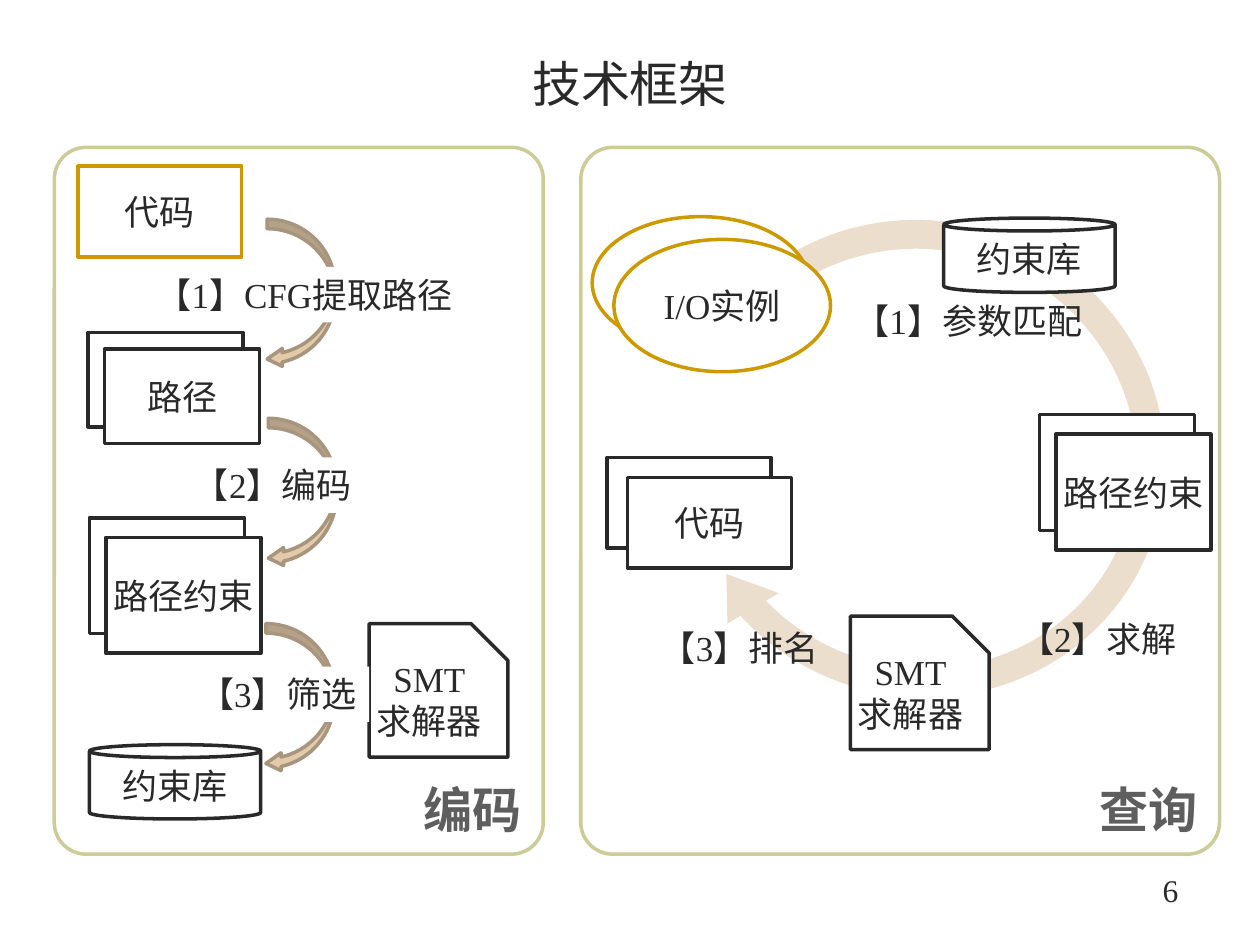
from pptx import Presentation
from pptx import util as u
from pptx.dml import color
from pptx.enum import shapes, text

COLORS = {"ink": "292929", "white": "FFFFFF", "gold": "CC9900", "panel": "CCCC99",
          "heading": "5E5E5E", "arrow": "E2CAAA", "arrow_edge": "A7957E", "ring": "ECDECC"}
FONT = "Times New Roman"
MSO = shapes.MSO_SHAPE
ALIGN = text.PP_ALIGN
ANCHOR = text.MSO_ANCHOR
LABEL_H = 31.7


def rgb(name):
    return color.RGBColor.from_string(COLORS[name])


def write(sp, content, size=20, ink="ink", bold=False, align=ALIGN.CENTER,
          anchor=ANCHOR.MIDDLE, wrap=False):
    tf = sp.text_frame
    frame = {"word_wrap": wrap, "vertical_anchor": anchor,
             "auto_size": text.MSO_AUTO_SIZE.NONE}
    for key, value in frame.items():
        setattr(tf, key, value)
    for i, line in enumerate(content.split("\n")):
        p = tf.paragraphs[0] if i == 0 else tf.add_paragraph()
        p.alignment = align
        r = p.add_run()
        r.text = line
        for key, value in {"name": FONT, "size": u.Pt(size), "bold": bold}.items():
            setattr(r.font, key, value)
        r.font.color.rgb = rgb(ink)


def add_figure(s, kind, box, line="ink", fill="white", adj=(), rotation=0):
    sp = s.shapes.add_shape(kind, *map(u.Pt, box))
    sp.shadow.inherit = False
    sp.rotation = rotation
    sp.fill.solid()
    sp.fill.fore_color.rgb = rgb(fill)
    if line:
        sp.line.color.rgb = rgb(line)
        sp.line.width = u.Pt(2)
    else:
        sp.line.fill.background()
    for i, value in enumerate(adj):
        sp.adjustments[i] = value
    return sp


def add_text(s, box, content, **fmt):
    write(s.shapes.add_textbox(*map(u.Pt, box)), content, wrap=True, **fmt)


def add_panel(s, x, w, adj, heading):
    sp = add_figure(s, MSO.ROUNDED_RECTANGLE, (x, 84.2, w, 403.9), "panel", adj=[adj])
    write(sp, heading, size=28, ink="heading", bold=True, align=ALIGN.RIGHT,
          anchor=ANCHOR.BOTTOM)


def add_stack(s, kind, box, shift, content, line="ink"):
    x, y, w, h = box
    add_figure(s, kind, box, line)
    write(add_figure(s, kind, (x + shift[0], y + shift[1], w, h), line), content)


def add_store(s, x, y):
    write(add_figure(s, MSO.CAN, (x, y, 97.9, 42.5), adj=[0.174]), "约束库", wrap=True)


def add_solver(s, x, y):
    sp = add_figure(s, MSO.SNIP_1_RECTANGLE, (x, y, 79.2, 76.3), adj=[0.275])
    write(sp, "SMT\n求解器")


def add_step_arrow(s, x, y):
    add_figure(s, MSO.CURVED_DOWN_ARROW, (x, y, 85, 38.9), "arrow_edge", "arrow",
               [0.14, 0.262, 0.222], 90)


def add_step_label(s, x, y, w, content):
    sp = add_figure(s, MSO.RECTANGLE, (x, y, w, LABEL_H), line=None)
    write(sp, content, align=ALIGN.RIGHT, anchor=ANCHOR.TOP, wrap=True)


def build_encoding(s):
    write(add_figure(s, MSO.RECTANGLE, (44.6, 95, 93.6, 51.8), "gold"), "代码")
    add_stack(s, MSO.RECTANGLE, (50.4, 190, 88.6, 54), (9.4, 9.4), "路径")
    add_step_arrow(s, 129.6, 148.3)
    add_step_label(s, 77.8, 152.6, 187.9, "【1】CFG提取路径")
    add_stack(s, MSO.RECTANGLE, (51.1, 295.9, 88.6, 66.2), (9.4, 11.2), "路径约束")
    add_step_arrow(s, 130.3, 262.1)
    add_step_label(s, 82.1, 261.4, 126, "【2】编码")
    add_store(s, 51.1, 425.5)
    add_step_arrow(s, 128.9, 379.4)
    add_solver(s, 211, 356.4)
    add_step_label(s, 103, 380.9, 108, "【3】筛选")


def build_query(s):
    sp = add_figure(s, MSO.CIRCULAR_ARROW, (381.6, 113, 289.4, 298.1), None, "ring",
                    rotation=290.4)
    for i, value in enumerate([0.057, 6.634, 124.712, 180.423, 0.059]):
        sp.adjustments[i] = value
    add_store(s, 539.3, 124.6)
    add_stack(s, MSO.OVAL, (338.4, 123.8, 123.8, 75.6), (12.4, 13), "I/O实例", "gold")
    add_solver(s, 486, 352.1)
    labels = [(481, 167.8, 144.7, "【1】参数匹配"),
              (569.5, 349.2, 115.9, "【2】求解"),
              (370.1, 354.2, 105.1, "【3】排名")]
    for x, y, w, content in labels:
        add_text(s, (x, y, w, LABEL_H), content, anchor=ANCHOR.TOP)
    add_stack(s, MSO.RECTANGLE, (347, 261.4, 93.6, 51.8), (11.6, 11.5), "代码")
    add_stack(s, MSO.RECTANGLE, (594, 236.9, 88.6, 66.2), (9.4, 11.2), "路径约束")


def main():
    prs = Presentation()
    prs.slide_width, prs.slide_height = u.Pt(720), u.Pt(540)
    s = prs.slides.add_slide(prs.slide_layouts[6])
    add_text(s, (39.6, 24.5, 640.8, 45.4), "技术框架", size=28)
    add_text(s, (607, 490.3, 73.4, 36), "6", size=18, align=ALIGN.RIGHT)
    add_panel(s, 331.9, 365, 0.05, "查询")
    add_panel(s, 31, 279.4, 0.065, "编码")
    build_encoding(s)
    build_query(s)
    prs.save("out.pptx")


if __name__ == "__main__":
    main()
